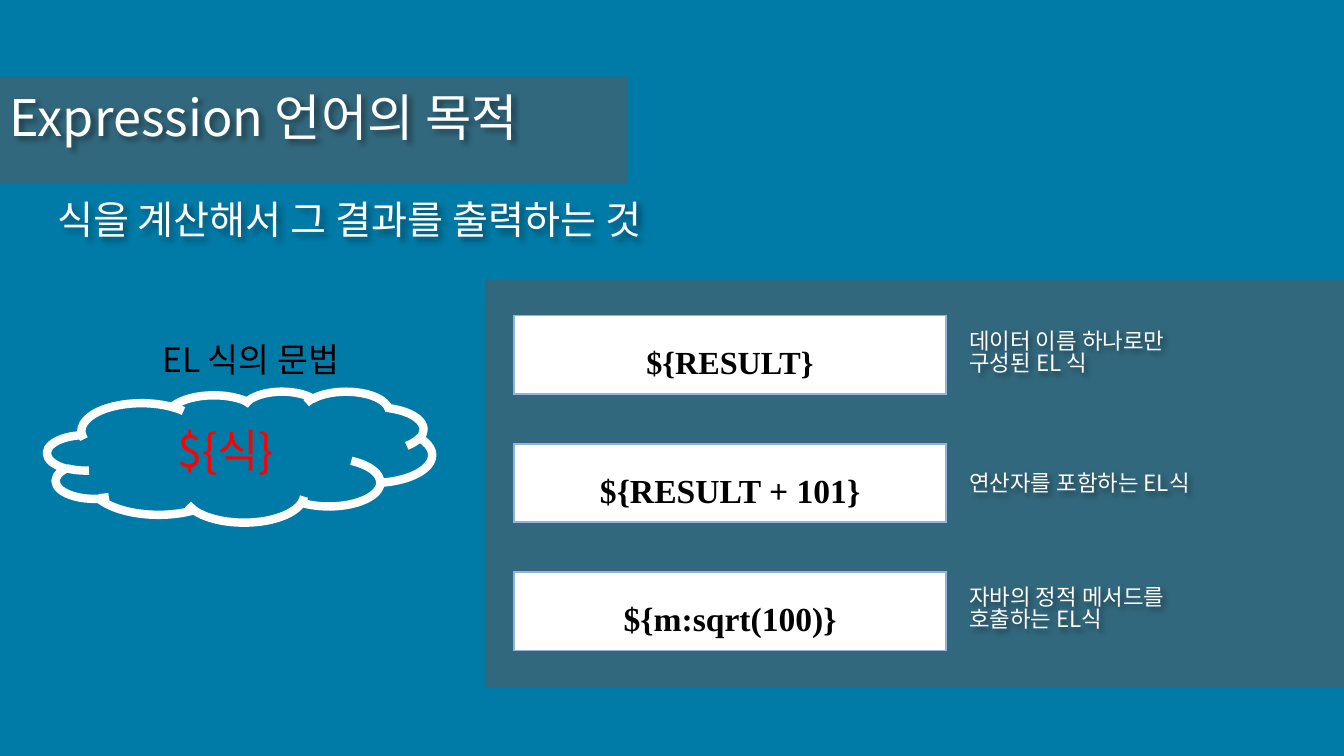
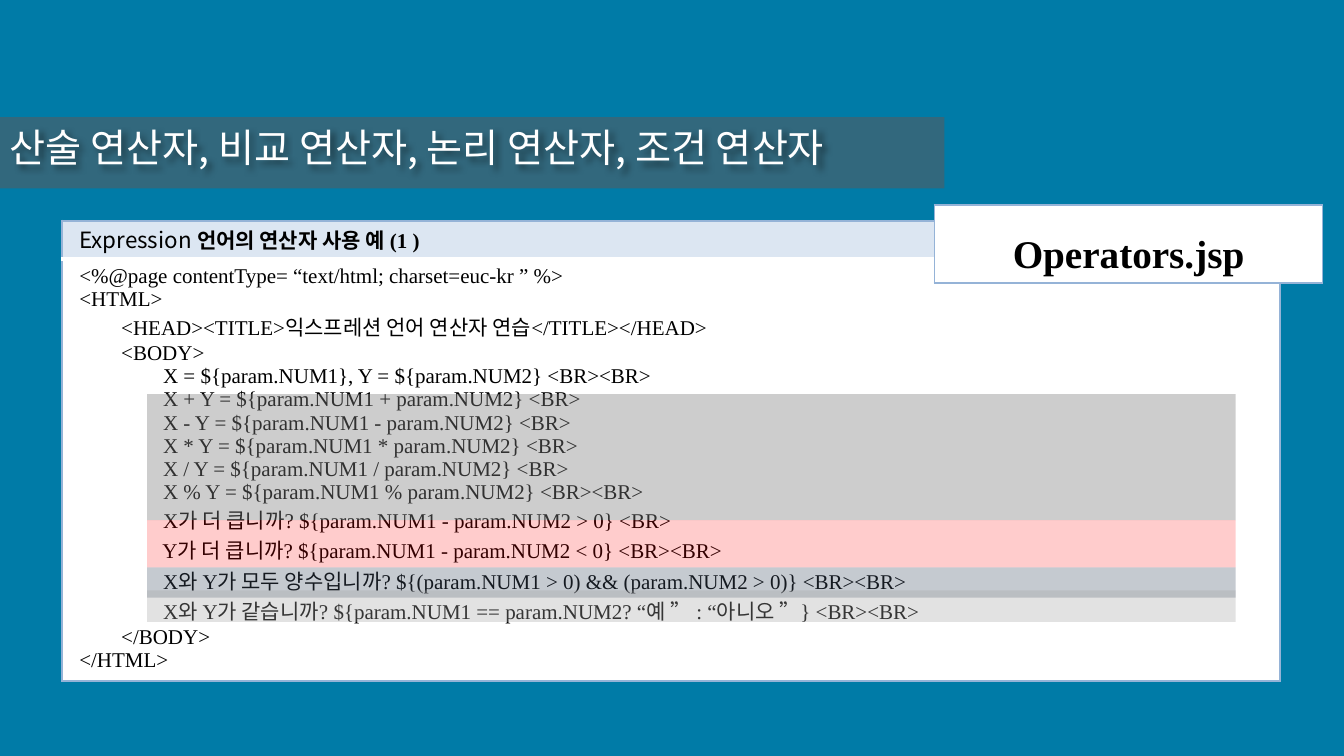
from dataclasses import dataclass

from lxml import etree
from pptx import Presentation
from pptx import util as u
from pptx.dml.color import RGBColor
from pptx.enum import shapes, text
from pptx.oxml import ns


@dataclass(frozen=True)
class Theme:
    sans: str = "Noto Sans CJK KR"
    serif: str = "Times New Roman"
    page: str = "007BA7"
    band: str = "615758"
    band_alpha: int = 52
    white: str = "FFFFFF"
    black: str = "000000"
    red: str = "FF0000"
    border: str = "95B3D7"
    header: str = "DCE6F2"
    grey: str = "808080"
    silver: str = "A5A5A5"
    slate: str = "44546A"
    title: int = 36
    heading: int = 28
    formula: int = 32
    label: int = 24
    note: int = 16
    code: int = 15
    leading: float = 0.83


THEME = Theme()
EDGE = (THEME.border, 1.5)
RULE = (THEME.white, 3)


def cm(*lengths):
    return [u.Cm(length) for length in lengths]


def rgb(value):
    return RGBColor.from_string(value)


def sub(parent, tag, **attributes):
    return etree.SubElement(parent, ns.qn(tag), attributes)


# Text
def add_span(para, words, size, color, font=THEME.sans, bold=False):
    span = para.add_run()
    span.text = words
    span.font.size = u.Pt(size)
    span.font.bold = bold
    span.font.color.rgb = rgb(color)
    span.font.name = font
    sub(span.font._element, "a:ea", typeface=THEME.sans)


def add_lines(frame, lines, size, color, font=THEME.sans, bold=False,
              align=text.PP_ALIGN.LEFT, spacing=None):
    for index, line in enumerate(lines):
        para = frame.paragraphs[0] if index == 0 else frame.add_paragraph()
        para.alignment = align
        para.line_spacing = spacing
        add_span(para, line, size, color, font, bold)


def add_soft_shadow(box):
    effects = sub(box._element.spPr, "a:effectLst")
    shadow = sub(effects, "a:outerShdw", blurRad="50800", dist="38100",
                 dir="2700000", algn="tl", rotWithShape="0")
    color = sub(shadow, "a:srgbClr", val=THEME.black)
    sub(color, "a:alpha", val="40000")


def add_text(page, place, lines, size, color=THEME.white, shadow=True,
             align=text.PP_ALIGN.LEFT, anchor=text.MSO_ANCHOR.TOP):
    box = page.shapes.add_textbox(*cm(*place))
    box.text_frame.word_wrap = True
    box.text_frame.vertical_anchor = anchor
    add_lines(box.text_frame, lines, size, color, align=align,
              spacing=THEME.leading)
    if shadow:
        add_soft_shadow(box)


# Shapes
def add_band(page, place, color=THEME.band, alpha=THEME.band_alpha):
    band = page.shapes.add_shape(shapes.MSO_SHAPE.RECTANGLE, *cm(*place))
    band.shadow.inherit = False
    band.line.fill.background()
    band.fill.solid()
    band.fill.fore_color.rgb = rgb(color)
    tint = band._element.spPr.find(".//" + ns.qn("a:srgbClr"))
    sub(tint, "a:alpha", val=str(alpha * 1000))


def add_cloud(page, place, words):
    cloud = page.shapes.add_shape(shapes.MSO_SHAPE.CLOUD, *cm(*place))
    cloud.shadow.inherit = False
    cloud.fill.background()
    cloud.line.color.rgb = rgb(THEME.white)
    cloud.line.width = u.Pt(6)
    cloud.text_frame.vertical_anchor = text.MSO_ANCHOR.MIDDLE
    add_lines(cloud.text_frame, [words], THEME.formula, THEME.red,
              align=text.PP_ALIGN.CENTER, spacing=THEME.leading)


# Tables
def add_table(page, left, top, width, heights):
    frame = page.shapes.add_table(
        len(heights), 1, *cm(left, top, width, sum(heights)))
    table = frame.table
    table.first_row = table.horz_banding = False
    for row, height in zip(table.rows, heights):
        row.height = u.Cm(height)
    return table


def style_cell(cell, fill, inset, top=EDGE, bottom=EDGE):
    cell.margin_left = cell.margin_right = u.Cm(inset[0])
    cell.margin_top = cell.margin_bottom = u.Cm(inset[1])
    properties = cell._tc.get_or_add_tcPr()
    for side, (color, width) in zip("LRTB", (EDGE, EDGE, top, bottom)):
        line = sub(properties, "a:ln" + side, w=str(u.Pt(width)))
        sub(sub(line, "a:solidFill"), "a:srgbClr", val=color)
    cell.fill.solid()
    cell.fill.fore_color.rgb = rgb(fill)


def add_code_label(page, left, top, width, height, words, size):
    cell = add_table(page, left, top, width, [height]).cell(0, 0)
    style_cell(cell, THEME.white, (0.28, 0.1))
    cell.vertical_anchor = text.MSO_ANCHOR.MIDDLE
    add_lines(cell.text_frame, [words], size, THEME.black, THEME.serif, True,
              text.PP_ALIGN.CENTER, 1.5)


def add_listing(page, left, top, width, heights, heading, lines):
    table = add_table(page, left, top, width, heights)
    head, body = table.cell(0, 0), table.cell(1, 0)
    style_cell(head, THEME.header, (0.43, 0.15), bottom=RULE)
    style_cell(body, THEME.white, (0.43, 0.15), top=RULE)
    para = head.text_frame.paragraphs[0]
    para.line_spacing = THEME.leading
    add_span(para, heading[0], THEME.note, THEME.black)
    add_span(para, heading[1], THEME.code, THEME.black, THEME.serif, True)
    add_lines(body.text_frame, lines, THEME.code, THEME.black, THEME.serif)


def add_page(deck):
    page = deck.slides.add_slide(deck.slide_layouts[6])
    page.background.fill.solid()
    page.background.fill.fore_color.rgb = rgb(THEME.page)
    return page


# Slides
EXAMPLES = [
    ("${RESULT}", 23, ["데이터 이름 하나로만", "구성된 EL 식"]),
    ("${RESULT + 101}", 24, ["연산자를 포함하는 EL식"]),
    ("${m:sqrt(100)}", 24, ["자바의 정적 메서드를", "호출하는 EL식"]),
]

LISTING = """\
<%@page contentType= “text/html; charset=euc-kr ” %>
<HTML>
        <HEAD><TITLE>익스프레션 언어 연산자 연습</TITLE></HEAD>
        <BODY>
                X = ${param.NUM1}, Y = ${param.NUM2} <BR><BR>
                X + Y = ${param.NUM1 + param.NUM2} <BR>
                X - Y = ${param.NUM1 - param.NUM2} <BR>
                X * Y = ${param.NUM1 * param.NUM2} <BR>
                X / Y = ${param.NUM1 / param.NUM2} <BR>
                X % Y = ${param.NUM1 % param.NUM2} <BR><BR>
                X가 더 큽니까? ${param.NUM1 - param.NUM2 > 0} <BR>
                Y가 더 큽니까? ${param.NUM1 - param.NUM2 < 0} <BR><BR>
                X와 Y가 모두 양수입니까? ${(param.NUM1 > 0) && (param.NUM2 > 0)} <BR><BR>
                X와 Y가 같습니까? ${param.NUM1 == param.NUM2? “예 ” : “아니오 ”} <BR><BR>
        </BODY>
</HTML>"""

# Top, height, colour and opacity of each operator group
HIGHLIGHTS = [
    (14.3, 0.76, THEME.slate, 31),
    (14.88, 0.79, THEME.silver, 32),
    (13.11, 1.19, THEME.red, 20),
    (9.93, 3.18, THEME.grey, 39),
]


def build_purpose(deck):
    page = add_page(deck)
    add_band(page, (12.24, 7.06, 21.62, 10.26))
    add_text(page, (1.19, 5, 33.96, 1.45),
             ["식을 계산해서 그 결과를 출력하는 것"], THEME.heading)
    add_band(page, (-0.1, 1.93, 15.9, 2.69))
    add_text(page, (0, 2.31, 21.21, 1.8), ["Expression 언어의 목적"],
             THEME.title)
    add_cloud(page, (1.19, 9.86, 9.7, 3.3), "${식}")
    add_text(page, (2.46, 8.33, 7.72, 1.63), ["EL 식의 문법"], THEME.label,
             THEME.black, False, text.PP_ALIGN.CENTER,
             text.MSO_ANCHOR.MIDDLE)
    # Each expression with its explanation, centred on one line
    height = 1.98
    for index, (code, size, note) in enumerate(EXAMPLES):
        top = 7.95 + 3.23 * index
        add_code_label(page, 12.95, top, 10.9, height, code, size)
        note_height = 0.25 + 0.69 * len(note)
        note_top = top + 0.1 + (height - note_height) / 2
        add_text(page, (24.18, note_top, 9.8, note_height), note, THEME.note)


def build_operators(deck):
    page = add_page(deck)
    add_band(page, (-0.1, 2.95, 23.9, 1.8))
    add_text(page, (0, 3.18, 31.75, 1.45),
             ["산술 연산자, 비교 연산자, 논리 연산자, 조건 연산자"],
             THEME.heading)
    add_listing(page, 1.57, 5.56, 30.68, (0.97, 10.64),
                ("Expression", " 언어의 연산자 사용 예 (1 )"),
                LISTING.split("\n"))
    for top, height, color, alpha in HIGHLIGHTS:
        add_band(page, (3.71, top, 27.43, height), color, alpha)
    add_code_label(page, 23.55, 5.16, 9.78, 1.98, "Operators.jsp",
                   THEME.heading)


def main():
    deck = Presentation()
    deck.slide_width, deck.slide_height = cm(33.87, 19.05)
    build_purpose(deck)
    build_operators(deck)
    deck.save("out.pptx")


if __name__ == "__main__":
    main()
